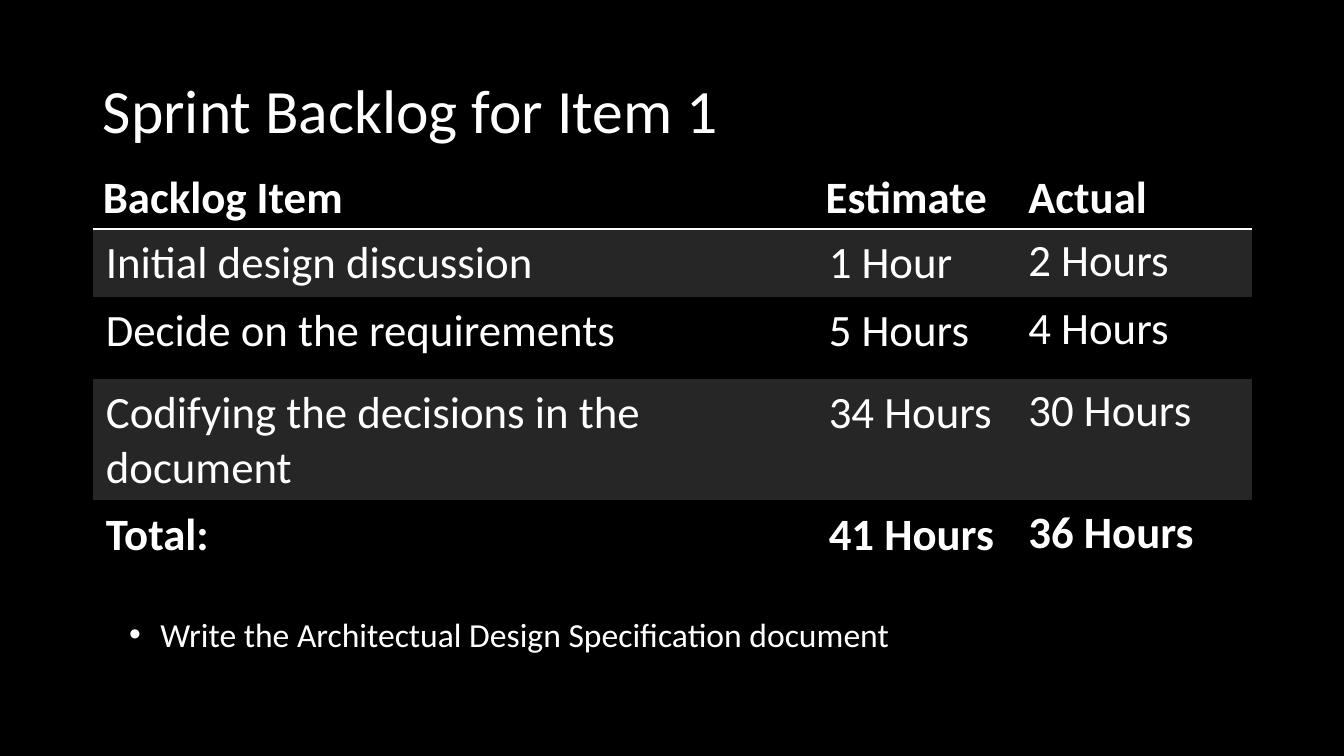
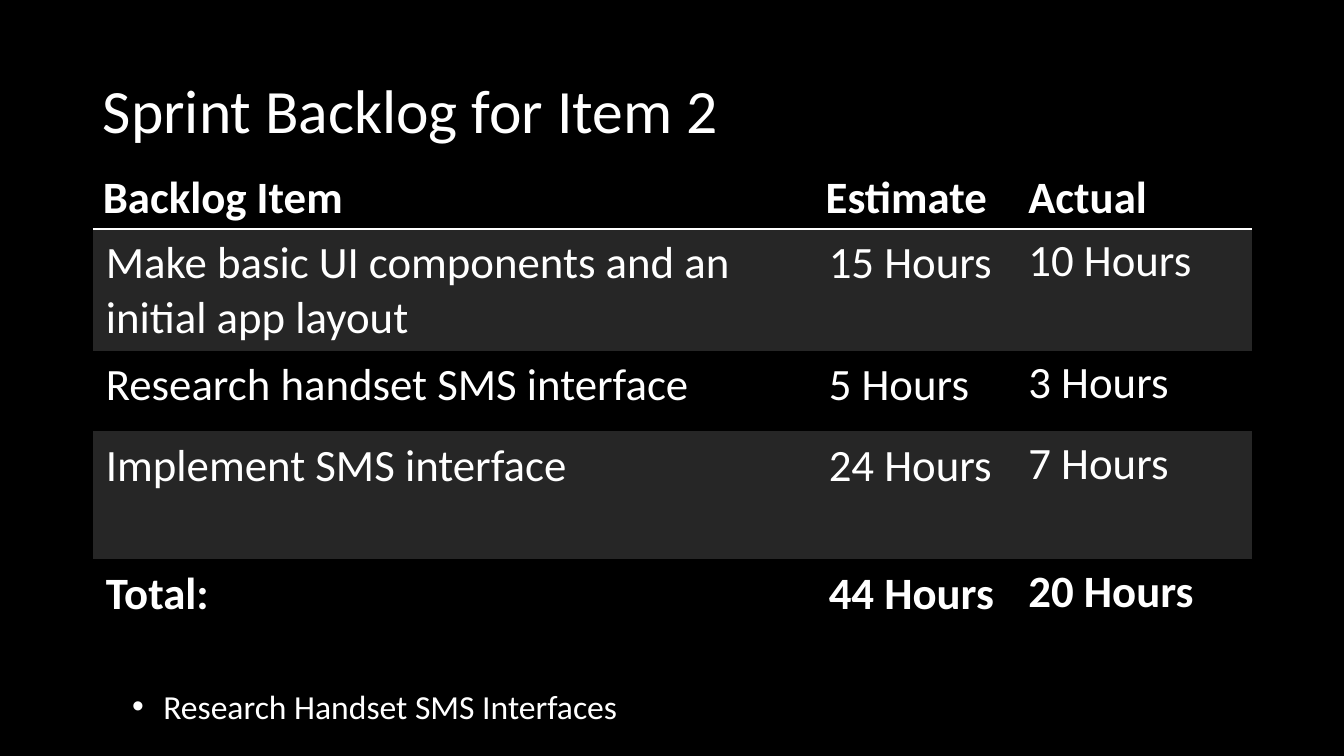
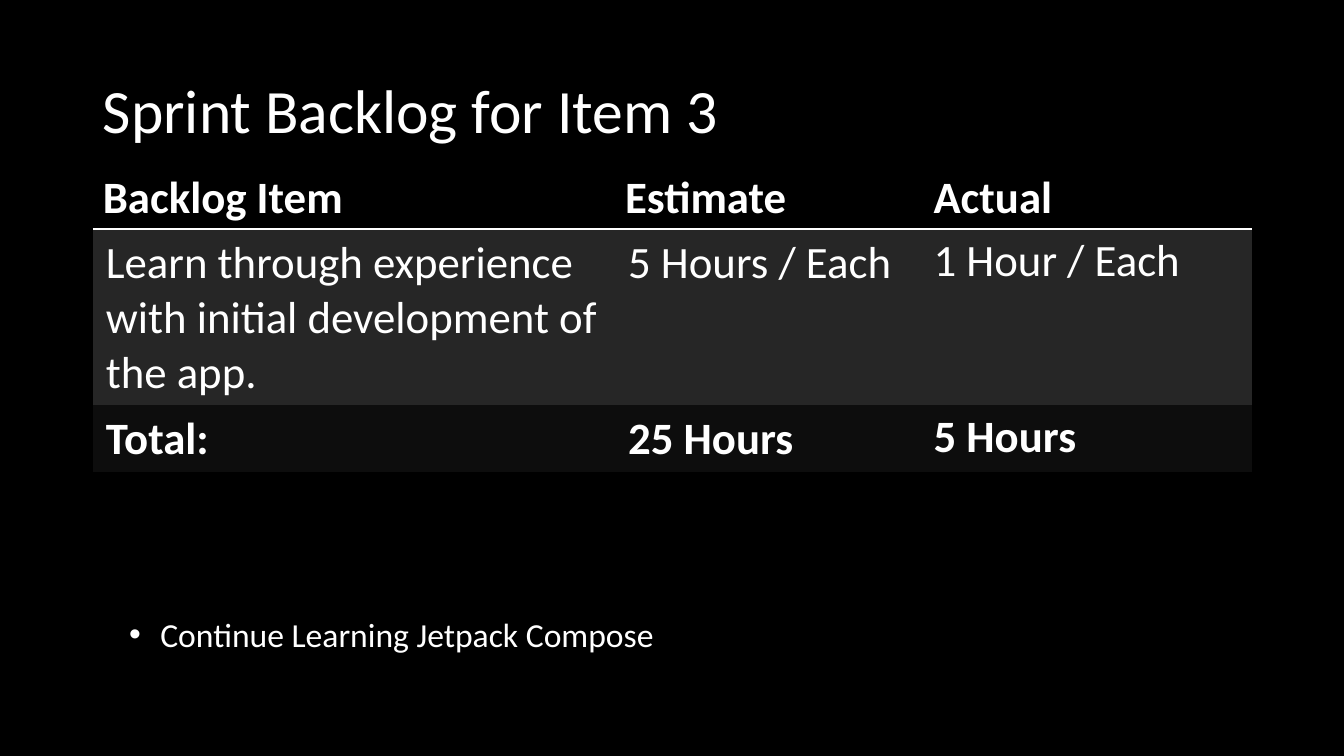
from lxml.etree import SubElement, Element
from pptx import Presentation
from pptx.dml.color import RGBColor
from pptx.enum.text import MSO_ANCHOR as Anchor, MSO_AUTO_SIZE as AutoSize, PP_ALIGN as Align
from pptx.oxml.ns import qn
from pptx.util import Emu, Pt

EMU_PER_PX = 9144
FONT = "Calibri"
WHITE, BLACK, BAND, DARK = "FFFFFF", "000000", "262626", "0D0D0D"
NO_GRID_STYLE = "{2D5ABB26-0587-4C30-8999-92F81FD0307C}"
HEADINGS = ("Backlog Item", "Estimate", "Actual")
WIDE_ITEMS = (717, 201, 232)

BACKLOGS = [
    dict(
        title="Sprint Backlog for Item 1",
        rows=[
            ("Initial design discussion", "1 Hour", "2 Hours"),
            ("Decide on the requirements", "5 Hours", "4 Hours"),
            ("Codifying the decisions in the document", "34 Hours", "30 Hours"),
            ("Total:", "41 Hours", "36 Hours"),
        ],
        widths=WIDE_ITEMS,
        heights=(36, 61, 81, 109, 81),
        fills=(BLACK, BAND, BLACK, BAND, BLACK),
        rule=2,
        note="Write the Architectual Design Specification document",
        note_at=(118, 604),
    ),
    dict(
        title="Sprint Backlog for Item 2",
        rows=[
            ("Make basic UI components and an initial app layout", "15 Hours", "10 Hours"),
            ("Research handset SMS interface", "5 Hours", "3 Hours"),
            ("Implement SMS interface", "24 Hours", "7 Hours"),
            ("Total:", "44 Hours", "20 Hours"),
        ],
        widths=WIDE_ITEMS,
        heights=(38, 63, 80, 127, 115),
        fills=(BLACK, BAND, BLACK, BAND, BLACK),
        rule=1.5,
        note="Research Handset SMS Interfaces",
        note_at=(121, 675),
    ),
    dict(
        title="Sprint Backlog for Item 3",
        rows=[
            ("Learn through experience with initial development of the app.",
             "5 Hours / Each", "1 Hour / Each"),
            ("Total:", "25 Hours", "5 Hours"),
        ],
        widths=(518, 306, 326),
        heights=(38, 63, 59),
        fills=(BLACK, BAND, DARK),
        rule=1.5,
        note="Continue Learning Jetpack Compose",
        note_at=(118, 604),
    ),
]


def px(length):
    return Emu(length * EMU_PER_PX)


def color(value):
    return RGBColor.from_string(value)


def place(box, left, top, width, height):
    box.left, box.top, box.width, box.height = map(px, (left, top, width, height))


def write(frame, text, size, bold=False):
    frame.text = text
    para = frame.paragraphs[0]
    para.font.name = FONT
    para.font.size = Pt(size)
    para.font.bold = bold
    para.font.color.rgb = color(WHITE)
    return para


def add_title(page, text):
    box = page.shapes.title
    place(box, 92, 40, 1150, 145)
    box.text_frame.vertical_anchor = Anchor.MIDDLE
    para = write(box.text_frame, text, 44)
    para.alignment = Align.LEFT
    para.line_spacing = 0.9


def add_note(page, text, left, top):
    box = page.placeholders[1]
    place(box, left, top, 954, 50)
    box.text_frame.auto_size = AutoSize.SHAPE_TO_FIT_TEXT
    para = write(box.text_frame, text, 24)
    para.space_before = Pt(0)
    properties = para._p.get_or_add_pPr()
    properties.set("marL", str(px(31)))
    properties.set("indent", str(px(-31)))


def underline_cell(cell, points):
    line = Element(qn("a:lnB"), w=str(Pt(points)))
    fill = SubElement(line, qn("a:solidFill"))
    SubElement(fill, qn("a:srgbClr"), val=WHITE)
    cell._tc.get_or_add_tcPr().insert(0, line)


def pad_cell(cell):
    cell.margin_left = cell.margin_right = px(13)
    cell.margin_top = cell.margin_bottom = px(7)


def add_backlog_table(page, rows, widths, heights, fills, rule):
    lines = [HEADINGS, *rows]
    frame = page.shapes.add_table(
        len(lines), len(widths), px(92), px(164), px(sum(widths)), px(sum(heights)))
    next(frame.element.iter(qn("a:tableStyleId"))).text = NO_GRID_STYLE
    table = frame.table
    table.horz_banding = False
    for column, width in zip(table.columns, widths):
        column.width = px(width)
    for row_index, (line, height, fill) in enumerate(zip(lines, heights, fills)):
        table.rows[row_index].height = px(height)
        is_header = row_index == 0
        is_total = row_index == len(rows)
        for column_index, text in enumerate(line):
            cell = table.cell(row_index, column_index)
            cell.fill.solid()
            cell.fill.fore_color.rgb = color(fill)
            write(cell.text_frame, text, 32, bold=is_header or is_total)
            if is_header:
                underline_cell(cell, rule)
            elif column_index < 2:
                pad_cell(cell)


def add_backlog_page(deck, title, note, note_at, **table):
    page = deck.slides.add_slide(deck.slide_layouts[1])
    add_title(page, title)
    add_backlog_table(page, **table)
    add_note(page, note, *note_at)


def main():
    deck = Presentation()
    deck.slide_width, deck.slide_height = px(1333), px(750)
    background = deck.slide_master.background.fill
    background.solid()
    background.fore_color.rgb = color(BLACK)
    for backlog in BACKLOGS:
        add_backlog_page(deck, **backlog)
    deck.save("out.pptx")


if __name__ == "__main__":
    main()
